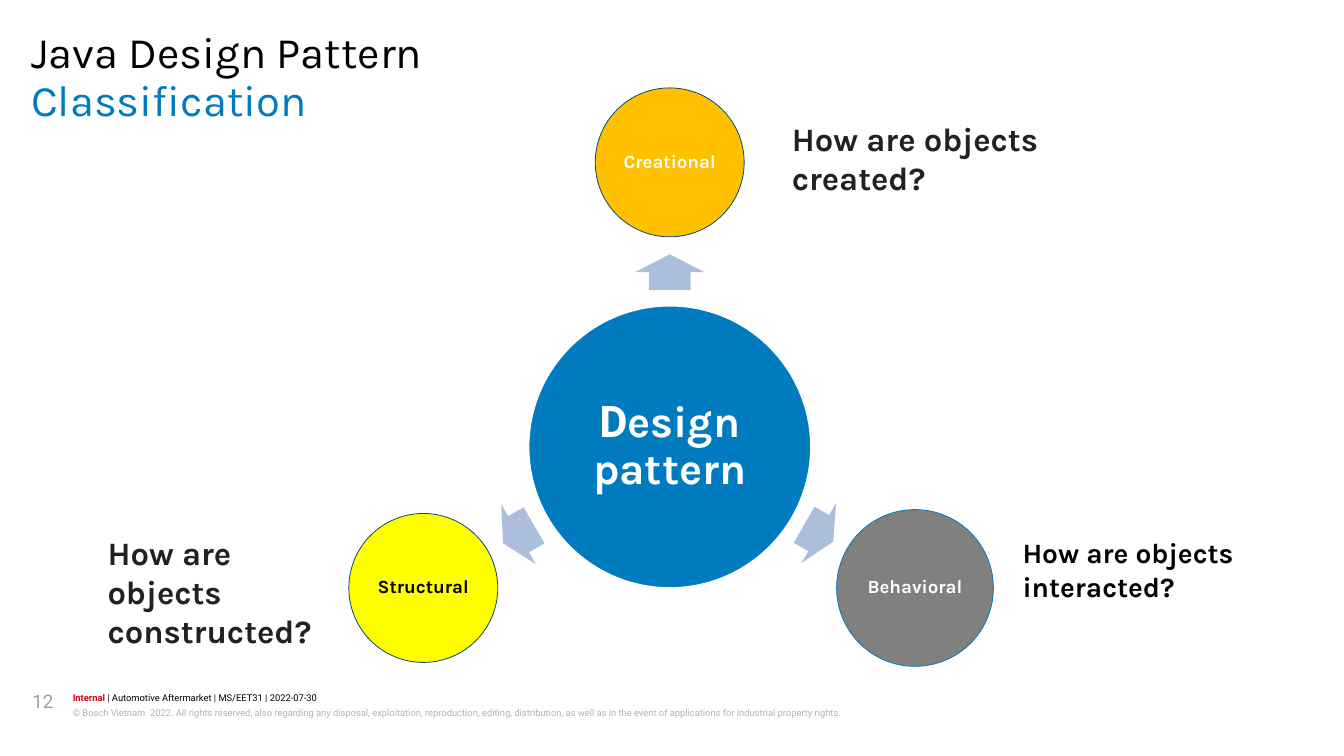
"""Build the design pattern classification slide."""
from pptx import Presentation
from pptx.dml.color import RGBColor
from pptx.enum.shapes import MSO_SHAPE as SHAPE
from pptx.enum.text import MSO_ANCHOR as ANCHOR, MSO_AUTO_SIZE as AUTO, PP_ALIGN as ALIGN
from pptx.util import Inches, Pt


def rgb(value):
    return RGBColor.from_string(value)


def write(sp, runs, size, spacing=1.0, anchor=ANCHOR.TOP, align=ALIGN.LEFT, inset=0):
    tf = sp.text_frame
    tf.word_wrap, tf.auto_size, tf.vertical_anchor = True, AUTO.NONE, anchor
    tf.margin_left = tf.margin_right = tf.margin_top = tf.margin_bottom = Inches(inset)
    p = tf.paragraphs[0]
    p.alignment, p.line_spacing = align, spacing
    p.space_before = p.space_after = Pt(0)
    for text, font, color, bold in runs:
        r = p.add_run()
        r.text = text
        r.font.name, r.font.size, r.font.bold = font, Pt(size), bold
        r.font.color.rgb = rgb(color)


prs = Presentation()
prs.slide_width, prs.slide_height = Inches(12), Inches(6.75)
col = prs.slide_width / 12
row = prs.slide_height / 6.75
slide = prs.slides.add_slide(prs.slide_layouts[5])
shapes = slide.shapes

title = shapes.title
title.left, title.top = int(0.28 * col), int(0.71 * row)
title.width, title.height = int(11.43 * col), int(0.43 * row)
write(title, [("Classification", "Karla", "007BC0", False)], 28, 0.89)

labels = [
    (0.28, 0.28, 11.43, 0.43, 28, 0.89, ANCHOR.TOP, 0,
     [("Java Design Pattern", "Karla", "000000", False)]),
    (0.65, 6.17, 10.01, 0.12, 6, 1.07, ANCHOR.TOP, 0,
     [("Internal", "Roboto", "D70012", True),
      (" | Automotive Aftermarket | MS/EET31 | 2022-07-30", "Roboto", "000000", False)]),
    (0.65, 6.29, 10.01, 0.24, 6, 1.2, ANCHOR.TOP, 0,
     [("© Bosch Vietnam  2022. All rights reserved, also regarding any disposal, "
       "exploitation, reproduction, editing, distribution, as well as in the event of "
       "applications for industrial property rights.", "Roboto", "B2B3B5", False)]),
    (0.29, 6.16, 0.32, 0.45, 12, 1.0, ANCHOR.TOP, 0,
     [("12", "Roboto", "999FA6", False)]),
    (7.07, 1.05, 3.13, 0.72, 21, 1.0, ANCHOR.MIDDLE, 0,
     [("How are objects created?", "Karla", "202124", True)]),
    (9.13, 4.73, 2.07, 0.71, 18, 1.0, ANCHOR.MIDDLE, 0,
     [("How are objects interacted?", "Karla", "000000", True)]),
    (0.96, 4.74, 2.08, 1.08, 21, 1.0, ANCHOR.MIDDLE, 0,
     [("How are objects constructed?", "Karla", "202124", True)]),
]
for x, y, w, h, size, spacing, anchor, inset, runs in labels:
    sp = shapes.add_textbox(int(x * col), int(y * row), int(w * col), int(h * row))
    write(sp, runs, size, spacing, anchor, inset=inset)

circles = [
    (5.98, 3.99, 2.52, "007BC0", "FFFFFF", 1, 28, 0.05,
     [("D", "Roboto", "FFFFFF", True), ("esign pattern", "Karla", "FFFFFF", True)]),
    (5.98, 1.45, 1.33, "FFC000", "004975", 0.5, 12, 0.02,
     [("Creational", "Karla", "FFFFFF", True)]),
    (8.17, 5.25, 1.4, "808080", "007BC0", 0.5, 12, 0.02,
     [("Behavioral", "Karla", "FFFFFF", True)]),
    (3.78, 5.25, 1.33, "FFFF00", "004975", 0.5, 12, 0.02,
     [("Structural", "Karla", "000000", True)]),
]
for cx, cy, d, fill, line, weight, size, inset, runs in circles:
    sp = shapes.add_shape(SHAPE.OVAL, int((cx - d / 2) * col), int((cy - d / 2) * row),
                          int(d * col), int(d * row))
    sp.shadow.inherit = False
    sp.fill.solid()
    sp.fill.fore_color.rgb = rgb(fill)
    sp.line.color.rgb = rgb(line)
    sp.line.width = Pt(weight)
    write(sp, runs, size, 0.9, ANCHOR.MIDDLE, ALIGN.CENTER, inset)

for cx, cy, w, angle in [(5.98, 2.43, 0.32, 270), (7.31, 4.76, 0.3, 30), (4.63, 4.77, 0.32, 150)]:
    sp = shapes.add_shape(SHAPE.RIGHT_ARROW, int((cx - w / 2) * col), int((cy - 0.31) * row),
                          int(w * col), int(0.62 * row))
    sp.rotation = angle
    sp.adjustments[0], sp.adjustments[1] = 0.6, 0.5
    sp.shadow.inherit = False
    sp.fill.solid()
    sp.fill.fore_color.rgb = rgb("ABBFDC")
    sp.line.fill.background()

prs.save("out.pptx")
